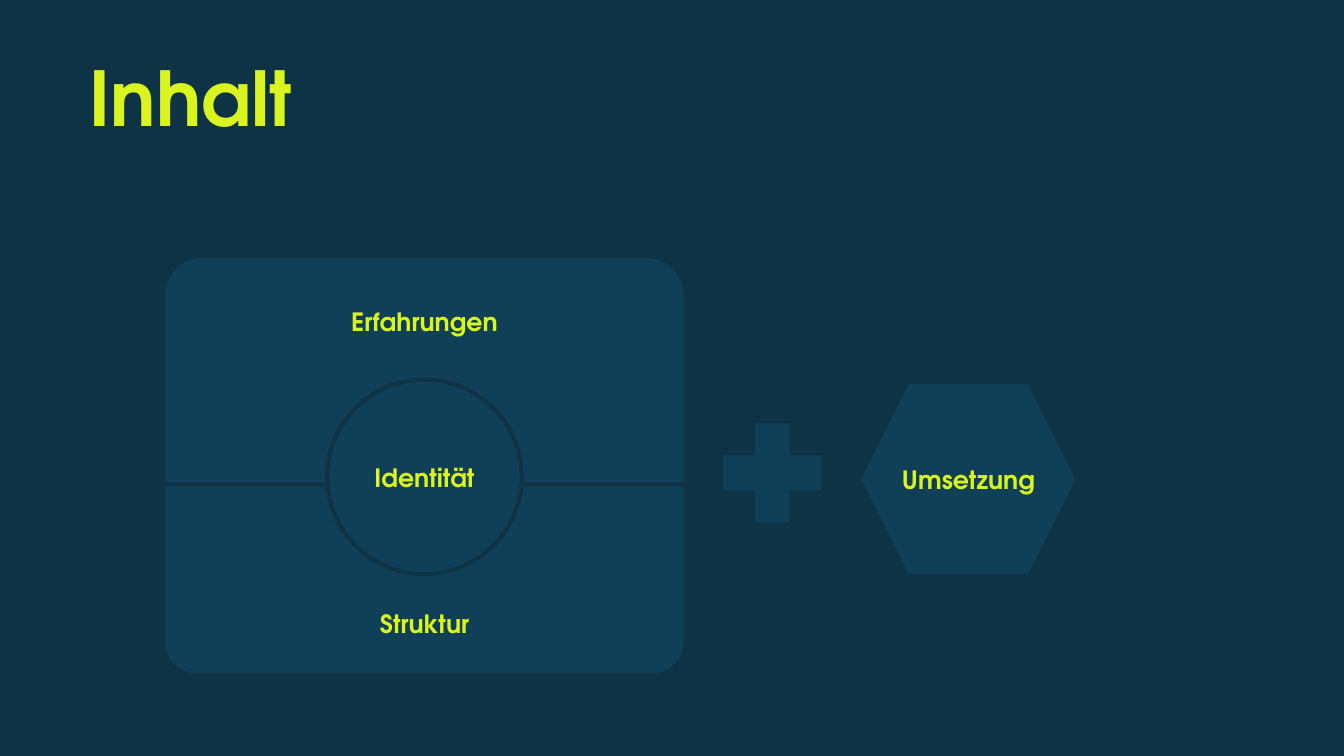
import pptx
import pptx.util
import pptx.dml.color
import pptx.enum.shapes
import pptx.enum.text

COLORS = {"background": "0E3345", "panel": "0F4057", "text": "D9F41E"}
FONT = "TeX Gyre Adventor"
SLIDE_W, SLIDE_H = 13.33, 7.5
LABEL_H = 0.4
SHAPE = pptx.enum.shapes.MSO_SHAPE
ALIGN = pptx.enum.text.PP_ALIGN
ANCHOR = pptx.enum.text.MSO_ANCHOR
AUTO_SIZE = pptx.enum.text.MSO_AUTO_SIZE


def rgb(name):
    return pptx.dml.color.RGBColor.from_string(COLORS[name])


def inches(box):
    return [pptx.util.Inches(v) for v in box]


def style_text(tf, text, size, align):
    tf.word_wrap = True
    tf.auto_size = AUTO_SIZE.NONE
    tf.vertical_anchor = ANCHOR.MIDDLE
    p = tf.paragraphs[0]
    p.text = text
    p.alignment = align
    p.font.name = FONT
    p.font.size = pptx.util.Pt(size)
    p.font.bold = True
    p.font.color.rgb = rgb("text")
    return p


def add_panel(s, kind, box, adjustments=(), outlined=False):
    sp = s.shapes.add_shape(kind, *inches(box))
    sp.shadow.inherit = False
    sp.fill.solid()
    sp.fill.fore_color.rgb = rgb("panel")
    if outlined:
        sp.line.color.rgb = rgb("background")
        sp.line.width = pptx.util.Pt(3)
    else:
        sp.line.fill.background()
    for i, value in enumerate(adjustments):
        sp.adjustments[i] = value


def add_label(s, text, cx, cy, w=1.72):
    box = cx - w / 2, cy - LABEL_H / 2, w, LABEL_H
    tf = s.shapes.add_textbox(*inches(box)).text_frame
    style_text(tf, text, 18, ALIGN.CENTER)


def add_title(s, box, text):
    title = s.shapes.title
    title.left, title.top, title.width, title.height = inches(box)
    p = style_text(title.text_frame, text, 54, ALIGN.LEFT)
    p.line_spacing = 0.9


def add_identity_block(s, box):
    """Two stacked halves with a circle over the seam."""
    x, y, w, h = box
    gap, circle = 0.04, 1.93
    upper = 0.54 * h
    lower = h - upper - gap
    cx = x + w / 2
    cy = y + 0.527 * h
    # Halves: rounded at the top, rounded at the bottom
    add_panel(s, SHAPE.ROUND_2_SAME_RECTANGLE, (x, y, w, upper), (0.167, 0))
    add_panel(s, SHAPE.ROUND_2_SAME_RECTANGLE,
              (x, y + upper + gap, w, lower), (0, 0.167))
    # Circle
    add_panel(s, SHAPE.OVAL, (cx - circle / 2, cy - circle / 2, circle, circle),
              outlined=True)
    # Labels
    for text, share in (("Erfahrungen", 0.153), ("Identität", 0.529),
                        ("Struktur", 0.88)):
        add_label(s, text, cx, y + share * h)


def add_implementation(s, box):
    """Hexagon with its label in the middle."""
    x, y, w, h = box
    add_panel(s, SHAPE.HEXAGON, box, outlined=True)
    add_label(s, "Umsetzung", x + w / 2, y + h / 2)


def main():
    prs = pptx.Presentation()
    prs.slide_width, prs.slide_height = inches((SLIDE_W, SLIDE_H))
    s = prs.slides.add_slide(prs.slide_layouts[5])
    s.background.fill.solid()
    s.background.fill.fore_color.rgb = rgb("background")

    add_title(s, (0.79, 0.46, 11.75, 1.11), "Inhalt")
    add_identity_block(s, (1.64, 2.56, 5.14, 4.12))
    add_panel(s, SHAPE.CROSS, (7.17, 4.2, 0.98, 0.98), (0.324,))
    add_implementation(s, (8.52, 3.79, 2.17, 1.93))
    prs.save("out.pptx")


if __name__ == "__main__":
    main()
